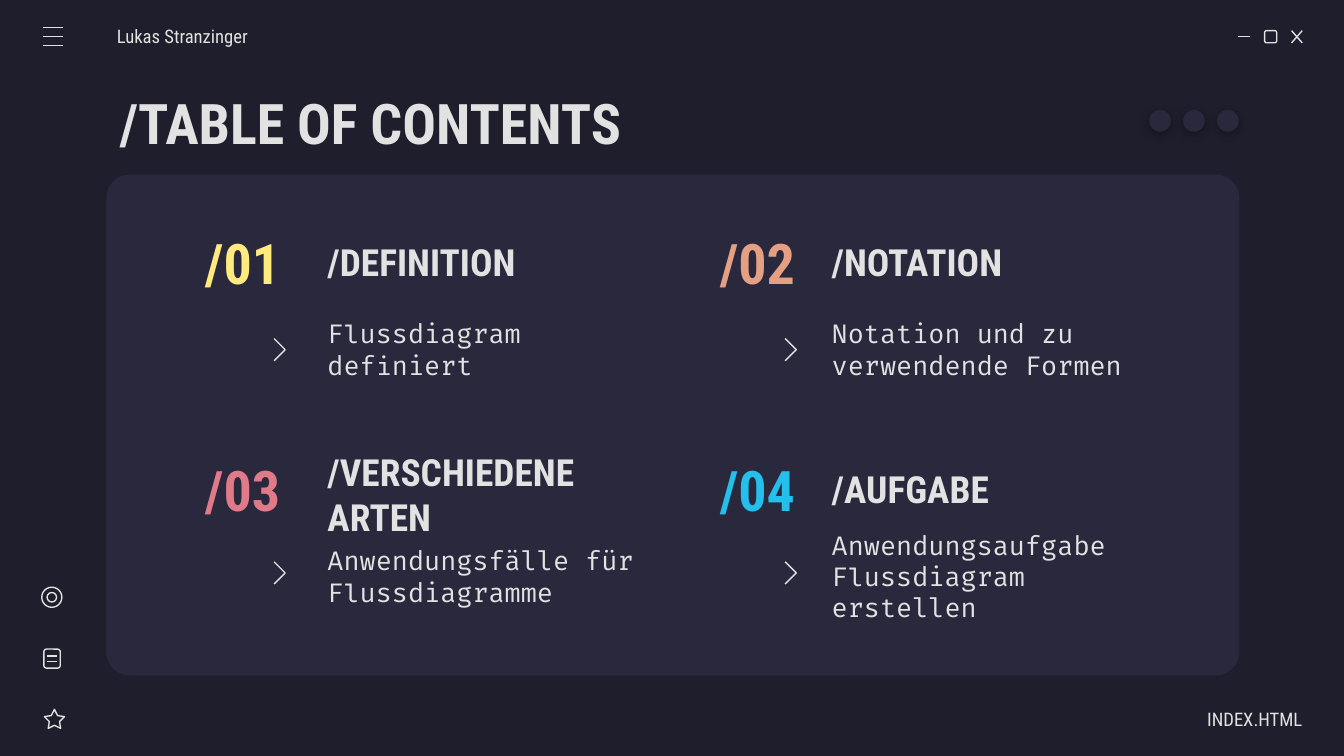
from lxml import etree
from pptx import Presentation
from pptx.dml.color import RGBColor
from pptx.enum.shapes import MSO_CONNECTOR, MSO_SHAPE
from pptx.enum.text import MSO_ANCHOR, PP_ALIGN
from pptx.oxml.ns import qn
from pptx.util import Cm, Pt

NIGHT = RGBColor(0x1E, 0x1E, 0x2C)
PANEL = RGBColor(0x29, 0x28, 0x3D)
LIGHT = RGBColor(0xE2, 0xE2, 0xE2)
YELLOW = RGBColor(0xFF, 0xEA, 0x7D)
ORANGE = RGBColor(0xE5, 0xA0, 0x83)
PINK = RGBColor(0xE0, 0x7A, 0x88)
BLUE = RGBColor(0x24, 0xBF, 0xEB)

SANS = "Roboto Condensed"
MONO = "Fira Code"
LEFT, CENTER, RIGHT = PP_ALIGN.LEFT, PP_ALIGN.CENTER, PP_ALIGN.RIGHT
MIDDLE = MSO_ANCHOR.MIDDLE
STRAIGHT = MSO_CONNECTOR.STRAIGHT
ROUNDED = MSO_SHAPE.ROUNDED_RECTANGLE
OVAL = MSO_SHAPE.OVAL
STAR = MSO_SHAPE.STAR_5_POINT

TITLE_ONLY = 5
INSET = 0.25
STROKE = Pt(0.75)

# Left edges of number, text and chevron in each column of the contents
COLUMNS = [(3.43, 5.94, 5.18), (13.16, 15.47, 14.84)]
# Tops of heading and chevron in each row
ROWS = [(4.24, 6.4), (8.53, 10.62)]
# Number, colour, heading, description, extra drop of the heading
ENTRIES = [
    ("/01", YELLOW, "/DEFINITION", "Flussdiagram definiert", 0),
    ("/02", ORANGE, "/NOTATION", "Notation und zu verwendende Formen", 0),
    ("/03", PINK, "/VERSCHIEDENE ARTEN", "Anwendungsfälle für Flussdiagramme", 0.1),
    ("/04", BLUE, "/AUFGABE", "Anwendungsaufgabe Flussdiagram erstellen", 0),
]


def lengths(*values):
    return [Cm(value) for value in values]


def write(box, text, size, font=SANS, color=LIGHT, bold=False, align=LEFT,
          inset_left=INSET, inset_right=INSET):
    frame = box.text_frame
    frame.text = text
    frame.word_wrap = True
    frame.vertical_anchor = MIDDLE
    frame.margin_left, frame.margin_right = lengths(inset_left, inset_right)
    frame.margin_top = frame.margin_bottom = Cm(INSET)
    para = frame.paragraphs[0]
    para.alignment = align
    span = para.runs[0]
    span.font.name = font
    span.font.size = Pt(size)
    span.font.bold = bold
    span.font.color.rgb = color


def add_text(page, left, top, width, height, text, size, **style):
    box = page.shapes.add_textbox(*lengths(left, top, width, height))
    write(box, text, size, **style)


def add_stroke(page, x1, y1, x2, y2):
    stroke = page.shapes.add_connector(STRAIGHT, *lengths(x1, y1, x2, y2))
    stroke.line.color.rgb = LIGHT
    stroke.line.width = STROKE
    etree.SubElement(stroke._element.spPr, qn("a:effectLst"))


def make_outline(shape):
    shape.shadow.inherit = False
    shape.fill.background()
    shape.line.color.rgb = LIGHT
    shape.line.width = STROKE


def add_outline(page, kind, left, top, width, height):
    shape = page.shapes.add_shape(kind, *lengths(left, top, width, height))
    make_outline(shape)
    return shape


def add_filled(page, kind, left, top, width, height):
    shape = page.shapes.add_shape(kind, *lengths(left, top, width, height))
    shape.shadow.inherit = False
    shape.fill.solid()
    shape.fill.fore_color.rgb = PANEL
    shape.line.fill.background()
    return shape


def add_chevron(page, left, top, width=0.21, height=0.42):
    builder = page.shapes.build_freeform(*lengths(left, top))
    points = [(left + width, top + height / 2), (left, top + height)]
    builder.add_line_segments([lengths(*point) for point in points], close=False)
    make_outline(builder.convert_to_shape())


def add_soft_shadow(shape):
    effects = shape._element.spPr.find(qn("a:effectLst"))
    shadow = etree.SubElement(effects, qn("a:outerShdw"), blurRad=str(Pt(4.5)),
                              dist=str(Pt(1.5)), dir="5400000", rotWithShape="0")
    color = etree.SubElement(shadow, qn("a:srgbClr"), val="000000")
    etree.SubElement(color, qn("a:alpha"), val="30000")


def add_menu(page, left, top):
    for row in range(3):
        y = top + row * 0.17
        add_stroke(page, left, y, left + 0.38, y)


def add_window_buttons(page, left, top, size=0.23):
    bottom = top + size
    add_stroke(page, left, top + size / 2, left + size, top + size / 2)
    add_outline(page, ROUNDED, left + 0.51, top, size, size)
    cross_left, cross_right = left + 1.02, left + 1.22
    add_stroke(page, cross_left, top, cross_right, bottom)
    add_stroke(page, cross_right, top, cross_left, bottom)


def add_sidebar(page, left, top):
    # Ring
    add_outline(page, OVAL, left, top, 0.38, 0.38)
    add_outline(page, OVAL, left + 0.1, top + 0.1, 0.18, 0.18)
    # Document
    add_outline(page, ROUNDED, left + 0.04, top + 1.17, 0.31, 0.36)
    for y in (top + 1.3, top + 1.4):
        add_stroke(page, left + 0.1, y, left + 0.28, y)
    # Star
    star = add_outline(page, STAR, left + 0.05, top + 2.31, 0.38, 0.36)
    star.adjustments[0] = 0.254


def add_dots(page, left, top, size=0.41, step=0.64):
    for index in range(3):
        add_soft_shadow(add_filled(page, OVAL, left + index * step, top, size, size))


def add_entry(page, column, row, entry):
    number_left, text_left, chevron_left = column
    top, chevron_top = row
    number, color, heading, description, drop = entry
    add_text(page, number_left, top, 2.31, 1.42, number, 30,
             color=color, bold=True, align=CENTER)
    add_text(page, text_left, top + drop, 6.5, 1.42, heading, 20, bold=True)
    add_text(page, text_left, top + 1.41, 6.5, 1.9, description, 14, font=MONO)
    add_chevron(page, chevron_left, chevron_top)


def add_contents(page, left, top, width, height):
    panel = add_filled(page, ROUNDED, left, top, width, height)
    panel.adjustments[0] = 0.047
    for index, entry in enumerate(ENTRIES):
        add_entry(page, COLUMNS[index % 2], ROWS[index // 2], entry)


def place_title(page, left, top, width, height):
    title = page.shapes.title
    title.left, title.top, title.width, title.height = lengths(left, top, width, height)
    write(title, "/TABLE OF CONTENTS", 30, bold=True)


def main():
    deck = Presentation()
    deck.slide_width, deck.slide_height = lengths(25.4, 14.29)
    page = deck.slides.add_slide(deck.slide_layouts[TITLE_ONLY])
    page.background.fill.solid()
    page.background.fill.fore_color.rgb = NIGHT

    # Header
    add_menu(page, 0.82, 0.52)
    add_text(page, 2.21, 0.3, 2.97, 0.76, "Lukas Stranzinger", 10, inset_left=0)
    add_window_buttons(page, 23.39, 0.58)
    place_title(page, 2.01, 1.5, 21.41, 1.6)
    add_dots(page, 21.72, 2.08)

    # Contents
    add_contents(page, 2.01, 3.3, 21.41, 9.47)

    # Sidebar and footer
    add_sidebar(page, 0.79, 11.1)
    add_text(page, 21.64, 13.21, 2.97, 0.76, "INDEX.HTML", 10,
             align=RIGHT, inset_right=0)

    deck.save("out.pptx")


if __name__ == "__main__":
    main()
